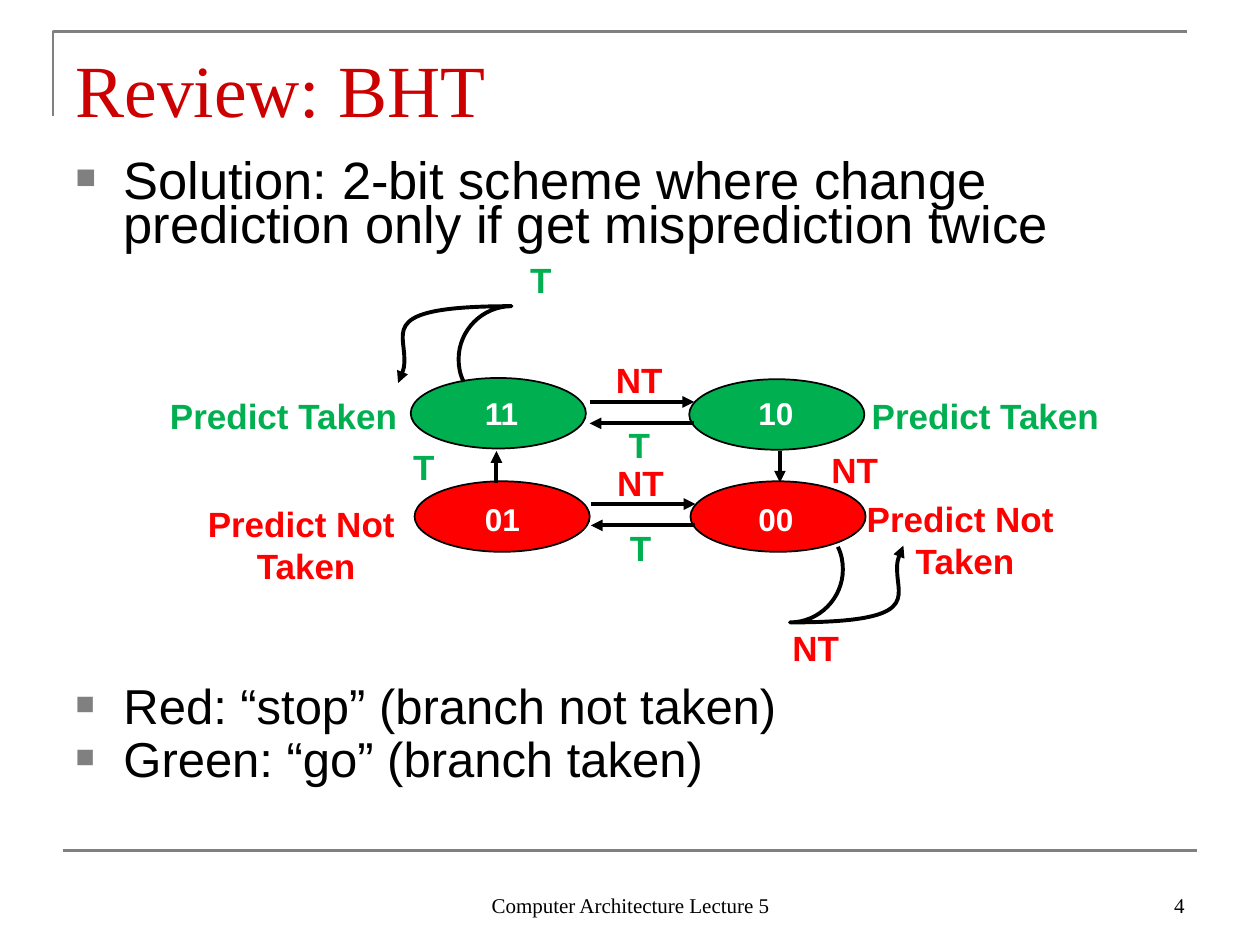
import dataclasses

import lxml.etree
import pptx
import pptx.dml.color
import pptx.enum.shapes
import pptx.enum.text
import pptx.oxml.ns
import pptx.util

Inches, Pt = pptx.util.Inches, pptx.util.Pt
ALIGN, ANCHOR = pptx.enum.text.PP_ALIGN, pptx.enum.text.MSO_ANCHOR
GREEN, RED, BLACK, WHITE, GREY = "00B050", "FF0000", "000000", "FFFFFF", "808080"
SERIF, SANS = "Times New Roman", "Arial"


@dataclasses.dataclass
class Label:
    """A piece of text in a box."""
    text: str
    x: float
    y: float
    w: float
    h: float
    color: str
    size: float = 20
    font: str = SANS
    bold: bool = True
    align: ALIGN = ALIGN.LEFT
    anchor: ANCHOR = ANCHOR.TOP


@dataclasses.dataclass
class State:
    """A predictor state: its oval, and the corner of its number."""
    bits: str
    x: float
    y: float
    text_x: float
    text_y: float
    color: str


def rgb(color: str) -> pptx.dml.color.RGBColor:
    """Turn a hex string into a colour."""
    return pptx.dml.color.RGBColor.from_string(color)


def add_xml(parent, tag: str, **attrs: str):
    """Append a DrawingML element to its parent."""
    return lxml.etree.SubElement(parent, pptx.oxml.ns.qn(tag), attrs)


def format_runs(p, size: float, font: str, color: str, bold: bool = False) -> None:
    """Format every run of a paragraph."""
    for r in p.runs:
        r.font.size, r.font.name, r.font.bold = Pt(size), font, bold
        r.font.color.rgb = rgb(color)


def place(sp, x: float, y: float, w: float, h: float) -> None:
    """Move and size a shape, in inches."""
    sp.left, sp.top, sp.width, sp.height = map(Inches, (x, y, w, h))


def add_label(s, label: Label, wrap: bool = False) -> None:
    """Add a text box."""
    sp = s.shapes.add_textbox(*map(Inches, (label.x, label.y, label.w, label.h)))
    tf = sp.text_frame
    tf.word_wrap, tf.vertical_anchor = wrap, label.anchor
    tf.text = label.text
    for p in tf.paragraphs:
        p.alignment = label.align
        format_runs(p, label.size, label.font, label.color, label.bold)


def add_state(s, state: State) -> None:
    """Add the oval of a state and its number."""
    sp = s.shapes.add_shape(pptx.enum.shapes.MSO_SHAPE.OVAL, Inches(state.x),
                            Inches(state.y), Inches(1.39), Inches(0.56))
    sp.shadow.inherit = False
    sp.fill.solid()
    sp.fill.fore_color.rgb = rgb(state.color)
    sp.line.color.rgb, sp.line.width = rgb(BLACK), Pt(1)
    add_label(s, Label(state.bits, state.text_x, state.text_y, 0.48, 0.4, WHITE, 18))


def style_line(sp, color: str, width: float, arrow: bool) -> None:
    """Set colour, width and arrowhead of a line."""
    sp.line.color.rgb, sp.line.width = rgb(color), Pt(width)
    if arrow:
        add_xml(sp.line._get_or_add_ln(), "a:tailEnd", type="triangle")


def add_line(s, x1: float, y1: float, x2: float, y2: float,
             color: str = BLACK, width: float = 2.25, arrow: bool = True) -> None:
    """Add a straight line."""
    sp = s.shapes.add_connector(pptx.enum.shapes.MSO_CONNECTOR.STRAIGHT,
                                *map(Inches, (x1, y1, x2, y2)))
    style_line(sp, color, width, arrow)
    add_xml(sp._element.spPr, "a:effectLst")


def add_outline(s, points: list, color: str = BLACK, width: float = 2.25,
                arrow: bool = True):
    """Add an open, unfilled outline through the points."""
    points = [(Inches(x), Inches(y)) for x, y in points]
    builder = s.shapes.build_freeform(*points[0])
    builder.add_line_segments(points[1:], close=False)
    sp = builder.convert_to_shape()
    sp.shadow.inherit = False
    sp.fill.background()
    style_line(sp, color, width, arrow)
    return sp


def add_curve(s, knots: list) -> None:
    """Add a chain of cubic curves; every third knot is on the curve."""
    sp = add_outline(s, knots)
    segments = list(sp._element.iter(pptx.oxml.ns.qn("a:lnTo")))
    outline = segments[0].getparent()
    for i in range(0, len(segments), 3):
        cubic = add_xml(outline, "a:cubicBezTo")
        for segment in segments[i:i + 3]:
            cubic.append(segment[0])
            outline.remove(segment)


def add_bullets(sp, texts: list, sizes: list, gaps: list) -> None:
    """Fill the body placeholder with square bullets."""
    tf = sp.text_frame
    tf.text = "\n".join(texts)
    tf.auto_size = pptx.enum.text.MSO_AUTO_SIZE.NONE
    for p, size, gap in zip(tf.paragraphs, sizes, gaps):
        p.line_spacing, p.space_before = 0.7, Pt(gap)
        format_runs(p, size, SANS, BLACK)
        pPr = p._p.get_or_add_pPr()
        pPr.set("marL", str(Inches(0.38)))
        pPr.set("indent", str(-Inches(0.38)))
        add_xml(add_xml(pPr, "a:buClr"), "a:srgbClr", val=GREY)
        add_xml(pPr, "a:buSzPct", val="65000")
        add_xml(pPr, "a:buFont", typeface=SANS)
        add_xml(pPr, "a:buChar", char="■")


prs = pptx.Presentation()
prs.slide_width, prs.slide_height = Inches(10), Inches(7.5)
s = prs.slides.add_slide(prs.slide_layouts[1])

add_outline(s, [(0.42, 0.92), (0.42, 0.25), (9.42, 0.25)], GREY, 1.5, arrow=False)
add_line(s, 0.5, 6.75, 9.5, 6.75, GREY, 1.5, arrow=False)
for text, x, w, align in (("Computer Architecture Lecture 5", 3.42, 3.17, ALIGN.CENTER),
                          ("4", 7.17, 2.33, ALIGN.RIGHT)):
    add_label(s, Label(text, x, 6.83, w, 0.5, BLACK, 12, SERIF, False,
                       align, ANCHOR.BOTTOM), wrap=True)

title, body = s.placeholders
place(title, 0.5, 0.3, 9, 0.78)
tf = title.text_frame
tf.text = "Review: BHT"
tf.auto_size = pptx.enum.text.MSO_AUTO_SIZE.NONE
tf.vertical_anchor, tf.margin_bottom = ANCHOR.BOTTOM, Inches(0.03)
tf.paragraphs[0].alignment = ALIGN.LEFT
format_runs(tf.paragraphs[0], 42, SERIF, "CC0000")

place(body, 0.5, 1.25, 9, 5.45)
add_bullets(body,
            ["Solution: 2-bit scheme where change prediction only if get misprediction twice",
             "Red: “stop” (branch not taken)", "Green: “go” (branch taken)"],
            sizes=[30, 28, 28], gaps=[7.5, 251, 7])

for state in (State("11", 3.26, 3, 3.75, 3.08, GREEN),
              State("10", 5.47, 3.01, 5.92, 3.08, GREEN),
              State("01", 3.29, 3.82, 3.75, 3.92, RED),
              State("00", 5.48, 3.82, 5.92, 3.92, RED)):
    add_state(s, state)

for x, y in ((4.11, 2), (3.18, 3.49), (4.89, 3.31), (4.9, 4.13)):
    add_label(s, Label("T", x, y, 0.37, 0.43, GREEN))
for x, y in ((6.5, 3.51), (6.19, 4.92), (4.79, 2.8), (4.8, 3.61)):
    add_label(s, Label("NT", x, y, 0.57, 0.43, RED))
for x in (1.25, 6.82):
    add_label(s, Label("Predict Taken", x, 3.08, 2.02, 0.43, GREEN))
for x, y in ((1.55, 3.94), (6.78, 3.9)):
    add_label(s, Label("Predict Not \nTaken", x, y, 1.76, 0.76, RED, align=ALIGN.CENTER))

taken_loop = [(3.68, 3.03), (3.65, 2.97), (3.64, 2.91), (3.64, 2.85),
              (3.64, 2.62), (3.83, 2.43), (4.06, 2.43),
              (3.02, 2.43), (3.21, 2.62), (3.21, 2.85),
              (3.21, 2.92), (3.19, 2.98), (3.16, 3.04)]
not_taken_loop = [(10.33 - x, 7.37 - y) for x, y in taken_loop]
for loop in (taken_loop, not_taken_loop):
    add_curve(s, loop)

for left, y in ((4.68, 3.19), (4.69, 4)):
    add_line(s, left, y, left + 0.83, y)
    add_line(s, left + 0.83, y + 0.17, left, y + 0.17)
add_line(s, 3.94, 3.83, 3.94, 3.58)
add_line(s, 6.19, 3.58, 6.19, 3.83)

prs.save("out.pptx")
